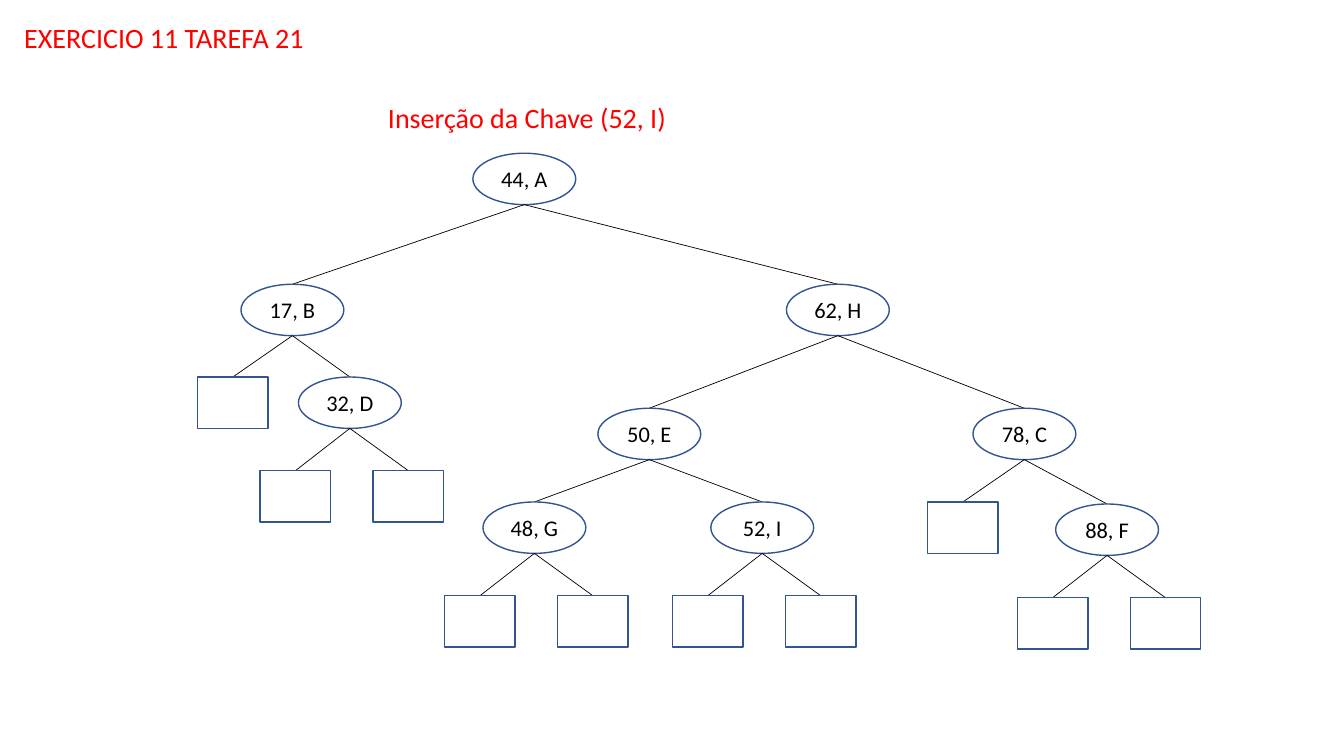
from dataclasses import dataclass
from typing import Optional

from lxml.etree import SubElement
from pptx import Presentation
from pptx.dml.color import RGBColor
from pptx.enum.shapes import MSO_CONNECTOR, MSO_SHAPE
from pptx.enum.text import MSO_ANCHOR, MSO_AUTO_SIZE, PP_ALIGN
from pptx.oxml.ns import qn
from pptx.util import Inches, Pt

COLORS = {"heading": "FF0000", "key": "000000", "branch": "000000",
          "outline": "325491", "node": "FFFFFF"}
KEY_WIDTH, LEAF_WIDTH, NODE_HEIGHT = 1.02, 0.7, 0.51
LEVEL_DROP = 0.93
LEAF_OFFSETS = (-0.54, 0.58)


@dataclass
class Node:
    """A tree node placed by its centre x and top; without a key it is an empty leaf."""
    center: float
    top: float
    key: str = ""
    left: Optional["Node"] = None
    right: Optional["Node"] = None

    def children(self):
        """Return the two subtrees, or a pair of empty leaves below a bottom key."""
        if not self.key:
            return []
        if self.left:
            return [self.left, self.right]
        return [Node(self.center + offset, self.top + LEVEL_DROP)
                for offset in LEAF_OFFSETS]


SEARCH_TREE = Node(
    5.2, 1.52, "44, A",
    Node(2.9, 2.82, "17, B", Node(2.31, 3.74), Node(3.47, 3.74, "32, D")),
    Node(8.31, 2.82, "62, H",
         Node(6.44, 4.05, "50, E",
              Node(5.3, 4.98, "48, G"), Node(7.56, 4.98, "52, I")),
         Node(10.16, 4.05, "78, C",
              Node(9.55, 4.98), Node(10.98, 5.0, "88, F"))))


def rgb(role):
    """Return the colour of a role."""
    return RGBColor.from_string(COLORS[role])


def write(shape, text, size=20, color="heading", align=PP_ALIGN.LEFT,
          anchor=MSO_ANCHOR.TOP, wrap=True):
    """Put formatted text into a shape."""
    frame = shape.text_frame
    frame.auto_size = MSO_AUTO_SIZE.NONE
    frame.word_wrap = wrap
    frame.vertical_anchor = anchor
    paragraph = frame.paragraphs[0]
    paragraph.alignment = align
    paragraph.line_spacing = 1.0
    paragraph.space_before = Pt(0)
    run = paragraph.add_run()
    run.text = text
    run.font.name = "Calibri"
    run.font.size = Pt(size)
    run.font.color.rgb = rgb(color)


def add_heading(slide, text, left, top, width, height):
    """Move the title placeholder into place and fill it."""
    heading = slide.shapes.title
    heading.left, heading.top = Inches(left), Inches(top)
    heading.width, heading.height = Inches(width), Inches(height)
    write(heading, text)


def add_caption(slide, text, left, top, width, height):
    """Add a text box above the tree."""
    caption = slide.shapes.add_textbox(
        Inches(left), Inches(top), Inches(width), Inches(height))
    write(caption, text)


def add_node(slide, node):
    """Draw a key as an ellipse, or an empty leaf as an unfilled box."""
    width = KEY_WIDTH if node.key else LEAF_WIDTH
    outline = slide.shapes.add_shape(
        MSO_SHAPE.OVAL if node.key else MSO_SHAPE.RECTANGLE,
        Inches(node.center - width / 2), Inches(node.top),
        Inches(width), Inches(NODE_HEIGHT))
    outline.shadow.inherit = False
    outline.line.color.rgb = rgb("outline")
    outline.line.width = Pt(1)
    if node.key:
        outline.fill.solid()
        outline.fill.fore_color.rgb = rgb("node")
        write(outline, node.key, size=16, color="key", align=PP_ALIGN.CENTER,
              anchor=MSO_ANCHOR.MIDDLE, wrap=False)
    else:
        outline.fill.background()


def add_branch(slide, parent, child):
    """Join the bottom of a parent to the top of its child."""
    branch = slide.shapes.add_connector(
        MSO_CONNECTOR.STRAIGHT,
        Inches(parent.center), Inches(parent.top + NODE_HEIGHT),
        Inches(child.center), Inches(child.top))
    branch.line.color.rgb = rgb("branch")
    branch.line.width = Pt(0.5)
    SubElement(branch._element.spPr, qn("a:effectLst"))


def add_tree(slide, node):
    """Draw a node, its branches and its subtrees."""
    add_node(slide, node)
    for child in node.children():
        add_branch(slide, node, child)
        add_tree(slide, child)


def main():
    """Build and save the slide."""
    deck = Presentation()
    deck.slide_width, deck.slide_height = Inches(13.33), Inches(7.5)
    slide = deck.slides.add_slide(deck.slide_layouts.get_by_name("Title Only"))
    add_heading(slide, "EXERCICIO 11 TAREFA 21", 0.14, 0.15, 3.26, 0.44)
    add_caption(slide, "Inserção da Chave (52, I)", 3.75, 0.95, 3.1, 0.44)
    add_tree(slide, SEARCH_TREE)
    deck.save("out.pptx")


main()
